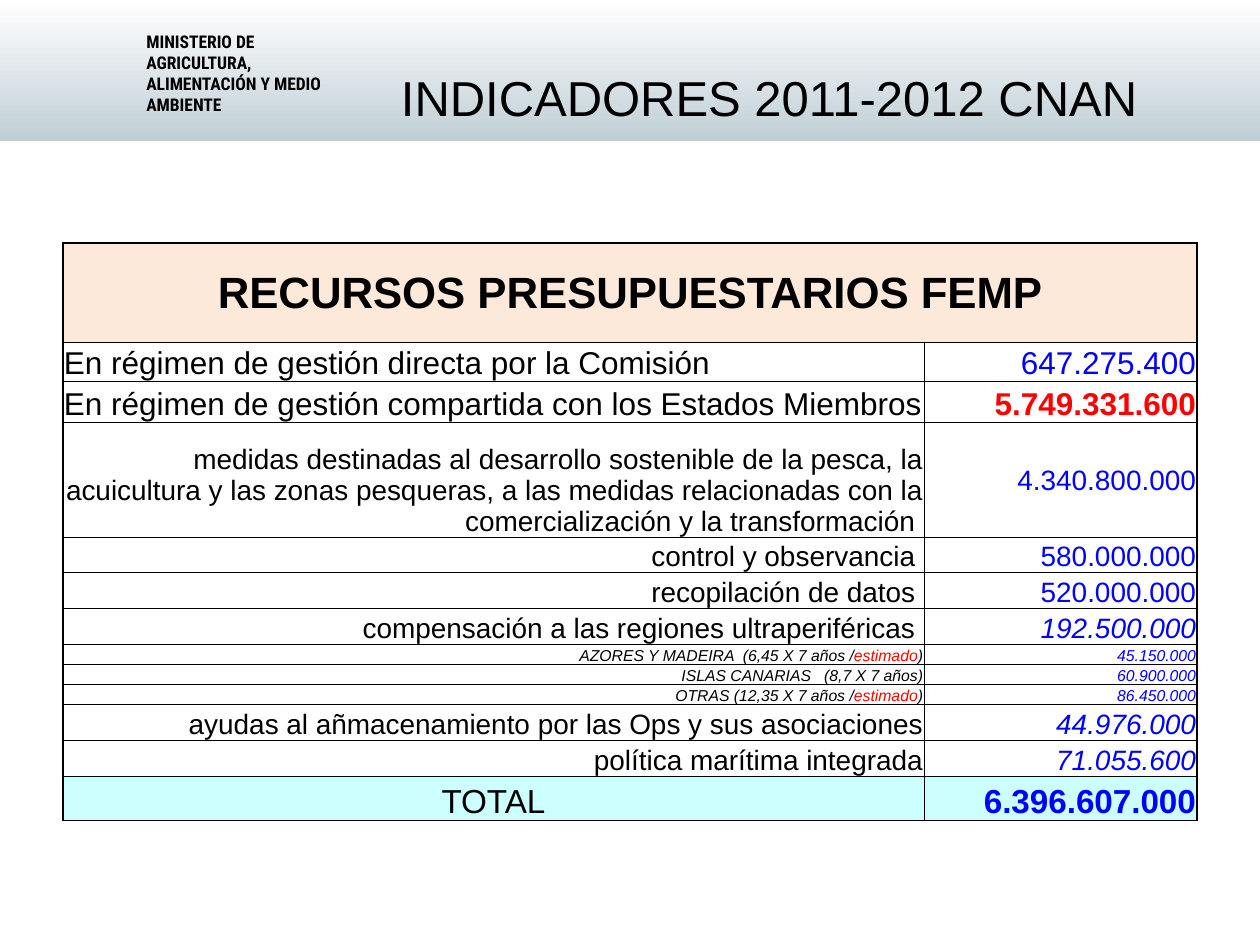
from lxml.etree import SubElement
from pptx import Presentation
from pptx.dml.color import RGBColor
from pptx.enum.shapes import MSO_SHAPE
from pptx.enum.text import MSO_ANCHOR, PP_ALIGN
from pptx.oxml.ns import qn
from pptx.util import Pt

PX = 914400 // 126
BLACK, BLUE, RED, WHITE = "000000", "0000FF", "FF0000", "FFFFFF"
LEFT, CENTER, RIGHT = PP_ALIGN.LEFT, PP_ALIGN.CENTER, PP_ALIGN.RIGHT


def rgb(value):
    return RGBColor.from_string(value)


def style_text(para, size, color, align=LEFT, bold=False, italic=False, font="Arial"):
    para.alignment = align
    for span in para.runs:
        span.font.name = font
        span.font.size = Pt(size)
        span.font.bold = bold
        span.font.italic = italic
        span.font.color.rgb = rgb(color)


deck = Presentation()
deck.slide_width, deck.slide_height = 1260 * PX, 945 * PX
page = deck.slides.add_slide(deck.slide_layouts[5])

band = page.shapes.add_shape(MSO_SHAPE.RECTANGLE, 0, 0, 1260 * PX, 141 * PX)
band.shadow.inherit = False
band.line.fill.background()
band.fill.gradient()
band.fill.gradient_angle = 270
for stop, color in zip(band.fill.gradient_stops, (WHITE, "C0CFD6")):
    stop.color.rgb = rgb(color)
page.shapes._spTree.insert(2, band._element)

ministry = page.shapes.add_textbox(134 * PX, 25 * PX, 202 * PX, 88 * PX)
ministry.text_frame.word_wrap = True
ministry.text_frame.text = "MINISTERIO DE AGRICULTURA, ALIMENTACIÓN Y MEDIO AMBIENTE"
style_text(ministry.text_frame.paragraphs[0], 10, BLACK, bold=True, font="Roboto Condensed")

title = page.shapes.title
title.left, title.top, title.width, title.height = 313 * PX, 33 * PX, 912 * PX, 127 * PX
title.text_frame.text = "INDICADORES 2011-2012 CNAN"
title.text_frame.vertical_anchor = MSO_ANCHOR.MIDDLE
style_text(title.text_frame.paragraphs[0], 28, BLACK, CENTER)

# height, label, size, label alignment, value, value colour, value bold, value italic
budget_rows = [
    (99, "RECURSOS PRESUPUESTARIOS FEMP", 25, CENTER, "", BLACK, False, False),
    (39, "En régimen de gestión directa por la Comisión", 18, LEFT, "647.275.400", BLUE, False, False),
    (41, "En régimen de gestión compartida con los Estados Miembros", 18, LEFT, "5.749.331.600", RED, True, False),
    (116, "medidas destinadas al desarrollo sostenible de la pesca, la acuicultura y las zonas pesqueras, "
          "a las medidas relacionadas con la comercialización y la transformación ",
     16, RIGHT, "4.340.800.000", BLUE, False, False),
    (34, "control y observancia ", 16, RIGHT, "580.000.000", BLUE, False, False),
    (36, "recopilación de datos ", 16, RIGHT, "520.000.000", BLUE, False, False),
    (36, "compensación a las regiones ultraperiféricas ", 16, RIGHT, "192.500.000", BLUE, False, True),
    (20, "AZORES Y MADEIRA  (6,45 X 7 años /estimado)", 9, RIGHT, "45.150.000", BLUE, False, True),
    (20, "ISLAS CANARIAS   (8,7 X 7 años)", 9, RIGHT, "60.900.000", BLUE, False, True),
    (20, "OTRAS (12,35 X 7 años /estimado)", 9, RIGHT, "86.450.000", BLUE, False, True),
    (36, "ayudas al añmacenamiento por las Ops y sus asociaciones", 16, RIGHT, "44.976.000", BLUE, False, True),
    (36, "política marítima integrada", 16, RIGHT, "71.055.600", BLUE, False, True),
    (44, "TOTAL", 19, CENTER, "6.396.607.000", BLUE, True, False),
]
last = len(budget_rows) - 1
fills = {0: "FDE9D9", last: "CCFFFF"}
total_height = sum(row[0] for row in budget_rows)
table = page.shapes.add_table(
    len(budget_rows), 2, 63 * PX, 243 * PX, 1134 * PX, total_height * PX).table
table.first_row = table.horz_banding = False
for column, width in zip(table.columns, (861, 273)):
    column.width = width * PX

for index, (height, label, size, align, value, color, bold, italic) in enumerate(budget_rows):
    table.rows[index].height = height * PX
    label_cell, value_cell = table.cell(index, 0), table.cell(index, 1)
    for cell in (label_cell, value_cell):
        cell.margin_left = cell.margin_top = cell.margin_right = PX
        cell.margin_bottom = 0
        cell.vertical_anchor = MSO_ANCHOR.BOTTOM
        outer_edges = {
            "a:lnL": cell is label_cell,
            "a:lnR": cell is value_cell or index == 0,
            "a:lnT": index == 0,
            "a:lnB": index == last,
        }
        for edge, outer in outer_edges.items():
            line = SubElement(cell._tc.get_or_add_tcPr(), qn(edge), w=str(Pt(1 if outer else 0.5)))
            SubElement(SubElement(line, qn("a:solidFill")), qn("a:srgbClr"), val=BLACK)
        cell.fill.solid()
        cell.fill.fore_color.rgb = rgb(fills.get(index, WHITE))

    para = label_cell.text_frame.paragraphs[0]
    for part in label.partition("estimado"):
        if part:
            para.add_run().text = part
    style_text(para, size, BLACK, align, bold=index == 0, italic=size == 9)
    for span in para.runs:
        if span.text == "estimado":
            span.font.color.rgb = rgb(RED)
    if value:
        value_cell.text_frame.text = value
        style_text(value_cell.text_frame.paragraphs[0], size, color, RIGHT, bold, italic)

table.cell(0, 0).merge(table.cell(0, 1))
for row, column in ((0, 0), (3, 1)):
    table.cell(row, column).vertical_anchor = MSO_ANCHOR.MIDDLE

deck.save("out.pptx")
